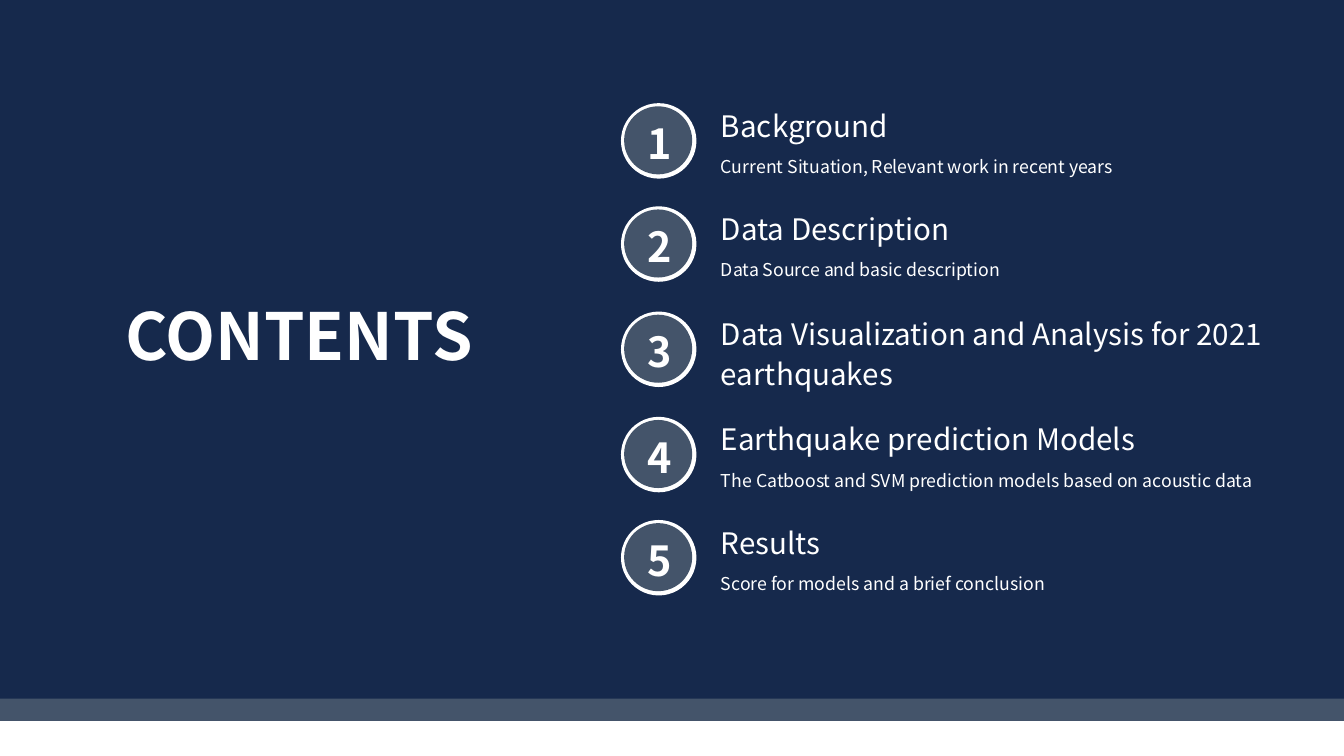
from pptx import Presentation
from pptx.dml.color import RGBColor
from pptx.enum.shapes import MSO_SHAPE
from pptx.enum.text import MSO_AUTO_SIZE, PP_ALIGN
from pptx.util import Inches, Pt

FONT = "Noto Sans CJK SC"
NAVY, SLATE, WHITE = "16294C", "44546A", "FFFFFF"

# Top of the circle, heading, heading width and height, detail, detail width
SECTIONS = [
    (0.97, "Background", 4.17, 0.5,
     "Current Situation, Relevant work in recent years", 4.77),
    (1.94, "Data Description", 4.17, 0.5,
     "Data Source and basic description", 4.41),
    (2.93, "Data Visualization and Analysis for 2021 earthquakes", 5.6, 0.88,
     None, None),
    (3.92, "Earthquake prediction Models", 4.17, 0.5,
     "The Catboost and SVM prediction models based on acoustic data", 5.68),
    (4.89, "Results", 4.17, 0.5,
     "Score for models and a brief conclusion", 4.41),
]


def color(hex_value):
    return RGBColor.from_string(hex_value)


def add_filled(shapes, kind, left, top, width, height, fill):
    shape = shapes.add_shape(kind, Inches(left), Inches(top),
                             Inches(width), Inches(height))
    shape.shadow.inherit = False
    shape.fill.solid()
    shape.fill.fore_color.rgb = color(fill)
    shape.line.fill.background()


def add_text(shapes, text, left, top, width, height, size,
             bold=False, align=PP_ALIGN.LEFT, inset=0):
    box = shapes.add_textbox(Inches(left), Inches(top),
                             Inches(width), Inches(height))
    text_frame = box.text_frame
    text_frame.word_wrap = True
    text_frame.auto_size = MSO_AUTO_SIZE.SHAPE_TO_FIT_TEXT
    text_frame.margin_left, text_frame.margin_right = Inches(inset), 0
    text_frame.margin_top = text_frame.margin_bottom = Inches(0.07)
    text_frame.text = text
    paragraph = text_frame.paragraphs[0]
    paragraph.alignment = align
    paragraph.line_spacing = 1.13
    font = paragraph.runs[0].font
    font.name, font.size, font.bold = FONT, Pt(size), bold
    font.color.rgb = color(WHITE)


def add_section(slide, number, top, heading, heading_width, heading_height,
                detail, detail_width):
    shapes = slide.shapes.add_group_shape().shapes
    # Numbered badge: white ring around a slate disc
    add_filled(shapes, MSO_SHAPE.OVAL, 5.84, top, 0.71, 0.71, WHITE)
    add_filled(shapes, MSO_SHAPE.OVAL, 5.87, top + 0.03, 0.64, 0.64, SLATE)
    add_text(shapes, str(number), 5.76, top + 0.01, 0.88, 0.68, 28,
             bold=True, align=PP_ALIGN.CENTER)
    # Heading and detail
    add_text(shapes, heading, 6.64, top - 0.07, heading_width,
             heading_height, 20, inset=0.14)
    if detail:
        add_text(shapes, detail, 6.64, top + 0.4, detail_width, 0.35, 12,
                 inset=0.14)


def main():
    presentation = Presentation()
    presentation.slide_width = Inches(12.64)
    presentation.slide_height = Inches(7.11)
    slide = presentation.slides.add_slide(presentation.slide_layouts[6])

    # Backdrop with a band below
    add_filled(slide.shapes, MSO_SHAPE.RECTANGLE, -0.01, 6.39, 12.65, 0.39, SLATE)
    add_filled(slide.shapes, MSO_SHAPE.RECTANGLE, -0.01, -0.02, 12.65, 6.59, NAVY)

    # Title
    add_text(slide.shapes, "CONTENTS", -0.42, 2.61, 6.47, 0.93, 44,
             bold=True, align=PP_ALIGN.CENTER)

    # Sections
    for number, section in enumerate(SECTIONS, start=1):
        add_section(slide, number, *section)

    presentation.save("out.pptx")


if __name__ == "__main__":
    main()
